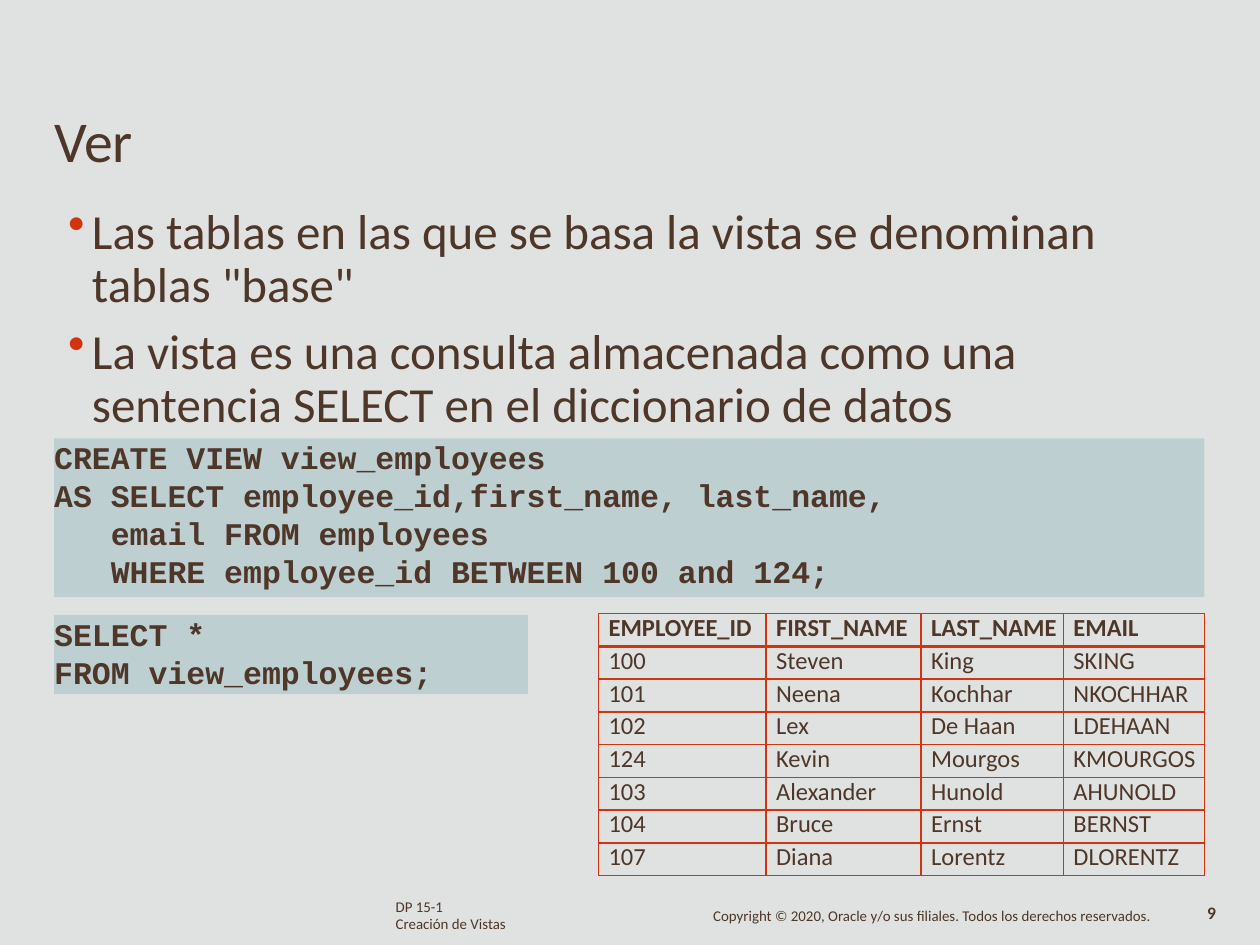
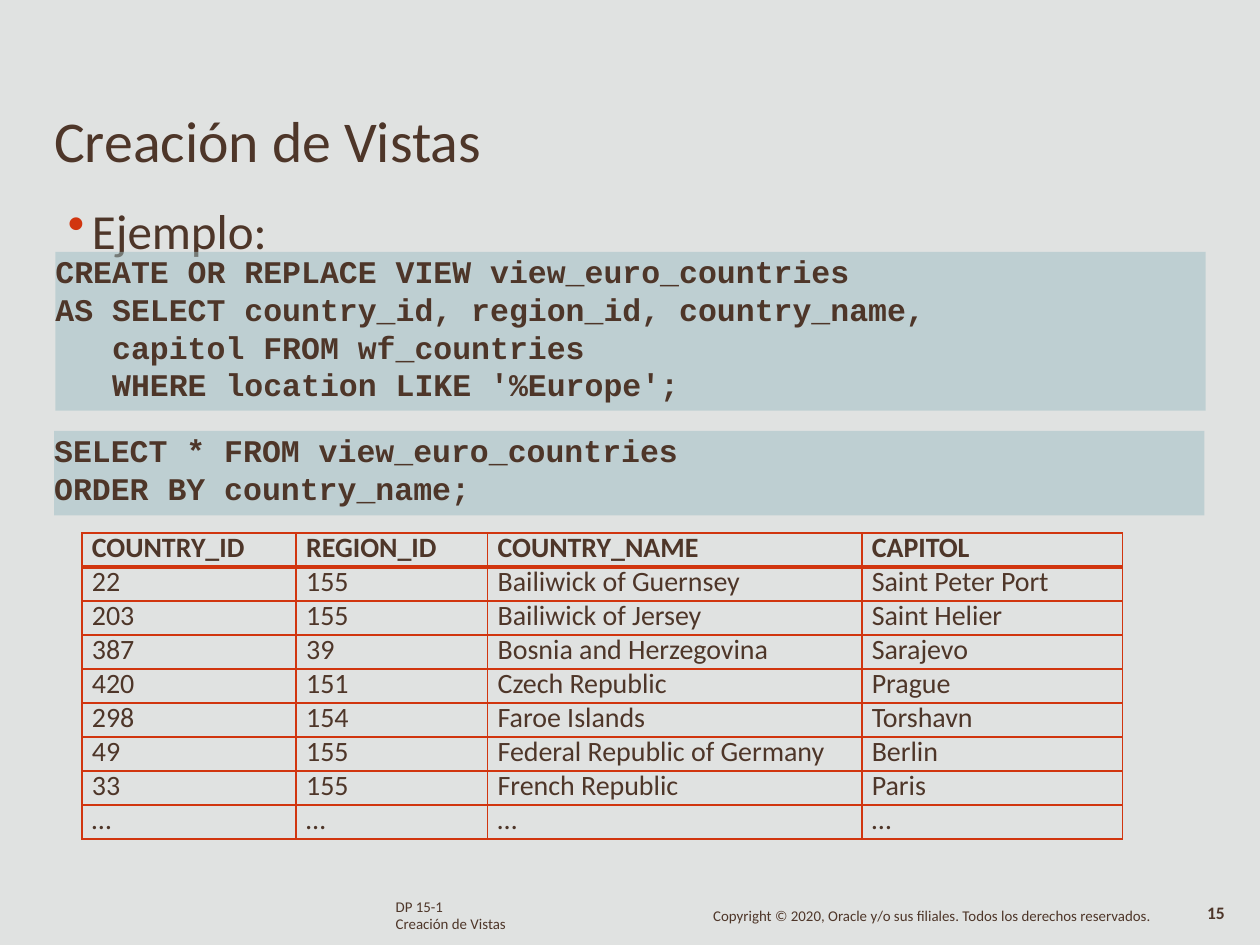
"""Builds two slides on creating database views."""
from lxml import etree
from pptx import Presentation
from pptx.dml.color import RGBColor
from pptx.enum import shapes, text
from pptx.oxml import ns
from pptx.util import Inches, Pt

BACKDROP = RGBColor(0xE0, 0xE2, 0xE1)
BROWN = RGBColor(0x4E, 0x36, 0x29)
RED = RGBColor(0xD1, 0x35, 0x0F)
TEAL = RGBColor(0x9D, 0xBE, 0xC4)
BODY_FONT, CODE_FONT = "Calibri", "Courier New"

LESSON = ["DP 15-1", "Creación de Vistas"]
COPYRIGHT = ["Copyright © 2020, Oracle y/o sus filiales. Todos los derechos reservados."]

SLIDES = [
    dict(
        title="Ver", title_width=0.65, number="9",
        bullets=[
            'Las tablas en las que se basa la vista se denominan tablas "base"',
            "La vista es una consulta almacenada como una sentencia SELECT en el diccionario de datos",
        ],
        bullets_size=(8.18, 1.87),
        code=[
            ((0.43, 3.48, 9.13, 1.26), [
                "CREATE VIEW view_employees",
                "AS SELECT employee_id,first_name, last_name,",
                "   email FROM employees",
                "   WHERE employee_id BETWEEN 100 and 124;",
            ]),
            ((0.43, 4.88, 3.76, 0.63), ["SELECT *", "FROM view_employees;"]),
        ],
        result=dict(
            corner=(4.75, 4.87), columns=[1.33, 1.23, 1.13, 1.12], row_height=0.26,
            size=14, leading=16.8,
            rows=[
                ("EMPLOYEE_ID", "FIRST_NAME", "LAST_NAME", "EMAIL"),
                ("100", "Steven", "King", "SKING"),
                ("101", "Neena", "Kochhar", "NKOCHHAR"),
                ("102", "Lex", "De Haan", "LDEHAAN"),
                ("124", "Kevin", "Mourgos", "KMOURGOS"),
                ("103", "Alexander", "Hunold", "AHUNOLD"),
                ("104", "Bruce", "Ernst", "BERNST"),
                ("107", "Diana", "Lorentz", "DLORENTZ"),
            ],
        ),
    ),
    dict(
        title="Creación de Vistas", title_width=7.36, number="15",
        bullets=["Ejemplo:"],
        bullets_size=(1.6, 0.49),
        code=[
            ((0.44, 2, 9.13, 1.26), [
                "CREATE OR REPLACE VIEW view_euro_countries",
                "AS SELECT country_id, region_id, country_name,",
                "   capitol FROM wf_countries",
                "   WHERE location LIKE '%Europe';",
            ]),
            ((0.43, 3.42, 9.13, 0.67), [
                "SELECT * FROM view_euro_countries",
                "ORDER BY country_name;",
            ]),
        ],
        result=dict(
            corner=(0.65, 4.23), columns=[1.7, 1.52, 2.97, 2.07], row_height=0.27,
            size=16, leading=18.2,
            rows=[
                ("COUNTRY_ID", "REGION_ID", "COUNTRY_NAME", "CAPITOL"),
                ("22", "155", "Bailiwick of Guernsey", "Saint Peter Port"),
                ("203", "155", "Bailiwick of Jersey", "Saint Helier"),
                ("387", "39", "Bosnia and Herzegovina", "Sarajevo"),
                ("420", "151", "Czech Republic", "Prague"),
                ("298", "154", "Faroe Islands", "Torshavn"),
                ("49", "155", "Federal Republic of Germany", "Berlin"),
                ("33", "155", "French Republic", "Paris"),
                ("…", "…", "…", "…"),
            ],
        ),
    ),
]


def add_bullet(paragraph):
    """Hang the paragraph behind a red dot."""
    props = paragraph._p.get_or_add_pPr()
    props.set("marL", str(Inches(0.2)))
    props.set("indent", str(Inches(-0.19)))
    color = etree.SubElement(props, ns.qn("a:buClr"))
    etree.SubElement(color, ns.qn("a:srgbClr"), val=str(RED))
    etree.SubElement(props, ns.qn("a:buChar"), char="•")


def write(frame, lines, size, font=BODY_FONT, bold=False, leading=None, gap=0,
          bullet=False, left=0, top=0):
    """Fill a text frame with one formatted paragraph per line."""
    frame.word_wrap = True
    frame.auto_size = text.MSO_AUTO_SIZE.NONE
    frame.vertical_anchor = text.MSO_ANCHOR.TOP
    frame.margin_left, frame.margin_top = Inches(left), Inches(top)
    frame.margin_right = frame.margin_bottom = 0
    for index, line in enumerate(lines):
        paragraph = frame.paragraphs[0] if index == 0 else frame.add_paragraph()
        if bullet:
            add_bullet(paragraph)
        paragraph.alignment = text.PP_ALIGN.LEFT
        if leading:
            paragraph.line_spacing = Pt(leading)
        if index and gap:
            paragraph.space_before = Pt(gap)
        run = paragraph.add_run()
        run.text = line
        run.font.name, run.font.size, run.font.bold = font, Pt(size), bold
        run.font.color.rgb = BROWN


def add_text(slide, box, lines, size, **style):
    """Place a text box."""
    write(slide.shapes.add_textbox(*map(Inches, box)).text_frame, lines, size, **style)


def add_code(slide, box, lines):
    """Place a code listing on a translucent band."""
    band = slide.shapes.add_shape(shapes.MSO_SHAPE.RECTANGLE, *map(Inches, box))
    band.shadow.inherit = False
    band.line.fill.background()
    band.fill.solid()
    band.fill.fore_color.rgb = TEAL
    color = band._element.spPr.find(".//" + ns.qn("a:srgbClr"))
    etree.SubElement(color, ns.qn("a:alpha"), val="50000")
    write(band.text_frame, lines, 18, font=CODE_FONT, bold=True, leading=21.6)


def add_borders(cell, **widths):
    """Draw red borders, keyed by side, with widths in points."""
    props = cell._tc.get_or_add_tcPr()
    for index, (side, width) in enumerate(widths.items()):
        line = etree.Element(ns.qn("a:ln" + side), w=str(Pt(width)))
        fill = etree.SubElement(line, ns.qn("a:solidFill"))
        etree.SubElement(fill, ns.qn("a:srgbClr"), val=str(RED))
        props.insert(index, line)


def add_result(slide, corner, columns, row_height, size, leading, rows):
    """Place a query result as a ruled table."""
    extent = (sum(columns), row_height * len(rows))
    table = slide.shapes.add_table(
        len(rows), len(columns), *map(Inches, corner + extent)).table
    table.first_row = table.horz_banding = False
    for column, width in zip(table.columns, columns):
        column.width = Inches(width)
    for r, values in enumerate(rows):
        table.rows[r].height = Inches(row_height)
        for c, value in enumerate(values):
            cell = table.cell(r, c)
            cell.margin_left = Inches(0.08)
            cell.margin_right = cell.margin_top = cell.margin_bottom = 0
            cell.fill.background()
            add_borders(cell, L=1, R=1, T=2.25 if r == 1 else 1, B=2.25 if r == 0 else 1)
            paragraph = cell.text_frame.paragraphs[0]
            paragraph.line_spacing = Pt(leading)
            run = paragraph.add_run()
            run.text = value
            run.font.name, run.font.size, run.font.bold = BODY_FONT, Pt(size), r == 0
            run.font.color.rgb = BROWN


def add_footer(slide, number):
    """Place lesson, copyright and page number."""
    add_text(slide, (3.14, 7.13, 0.91, 0.27), LESSON, 8.5, leading=9.7)
    add_text(slide, (9.54, 7.18, 0.24, 0.17), [number], 10, bold=True, leading=10.4, left=0.04)
    add_text(slide, (5.66, 7.21, 3.52, 0.15), COPYRIGHT, 8.5, leading=9.1)


def main():
    """Build and save the slides."""
    deck = Presentation()
    deck.slide_width, deck.slide_height = Inches(10), Inches(7.5)
    backdrop = deck.slide_master.background.fill
    backdrop.solid()
    backdrop.fore_color.rgb = BACKDROP
    for content in SLIDES:
        slide = deck.slides.add_slide(deck.slide_layouts[5])
        title = slide.shapes.title
        title.left, title.top = Inches(0.43), Inches(0.82)
        title.width, title.height = Inches(content["title_width"]), Inches(0.58)
        write(title.text_frame, [content["title"]], 33, top=0.01)
        add_footer(slide, content["number"])
        add_text(slide, (0.53, 1.55) + content["bullets_size"], content["bullets"], 28,
                 leading=30.3, gap=8, bullet=True, top=0.09)
        add_result(slide, **content["result"])
        for box, lines in content["code"]:
            add_code(slide, box, lines)
    deck.save("out.pptx")


if __name__ == "__main__":
    main()
